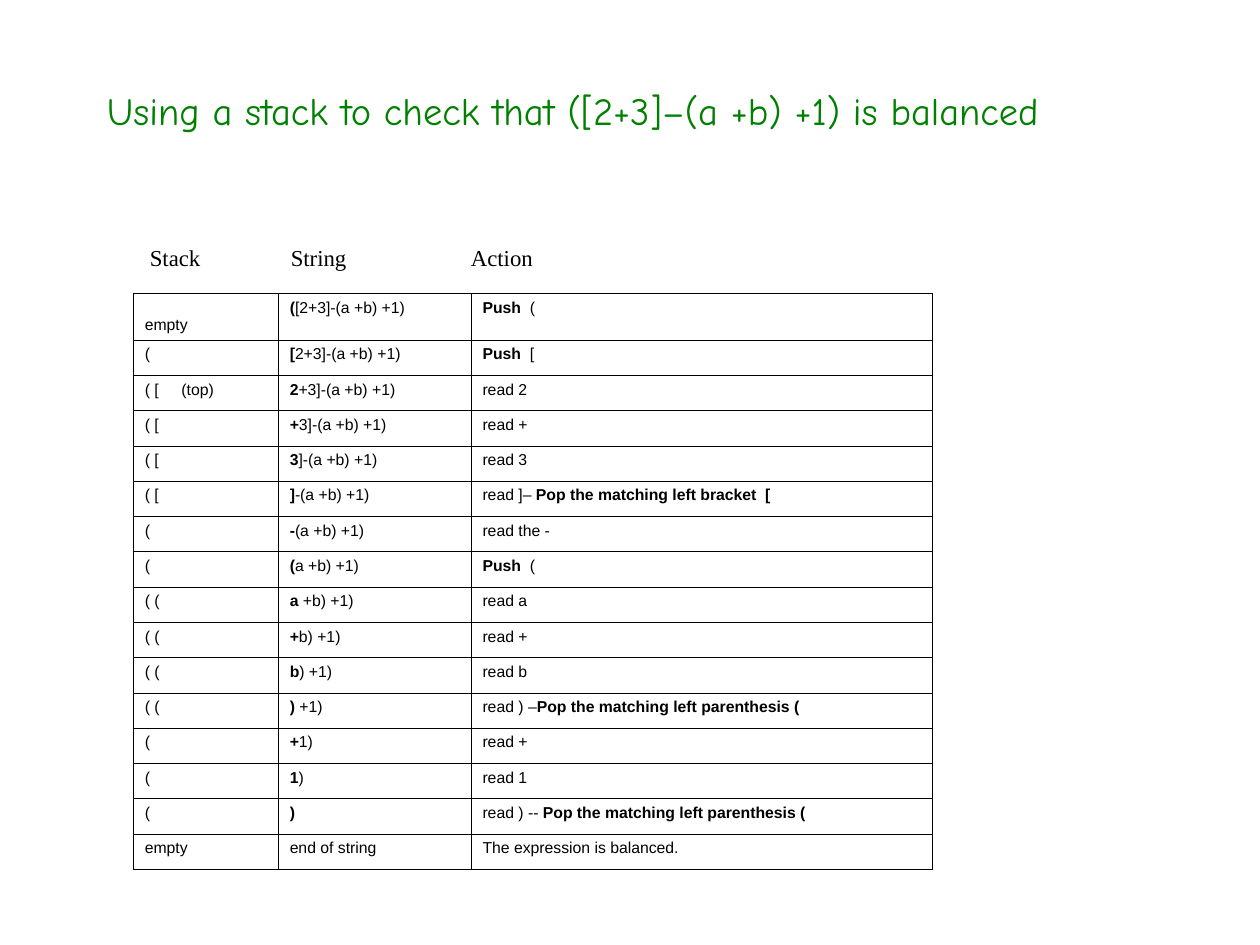
from lxml import etree
from pptx import Presentation
from pptx.dml.color import RGBColor
from pptx.enum import text
from pptx.oxml import ns
from pptx.util import Inches, Pt

COLORS = {"title": "008000", "ink": "000000"}
COLUMN_WIDTHS = [1.15, 1.53, 3.66]
FIRST_ROW_HEIGHT = 0.37
ROW_HEIGHT = 0.28

STEPS = [
    ("empty", "**(**[2+3]-(a +b) +1)", "**Push**  ("),
    ("(", "**[**2+3]-(a +b) +1)", "**Push**  ["),
    ("( [\t(top)", "**2**+3]-(a +b) +1)", "read 2"),
    ("( [", "**+**3]-(a +b) +1)", "read +"),
    ("( [", "**3**]-(a +b) +1)", "read 3"),
    ("( [", "**]**-(a +b) +1)", "read ]– **Pop the matching left bracket  [**"),
    ("(", "**-**(a +b) +1)", "read the -"),
    ("(", "**(**a +b) +1)", "**Push**  ("),
    ("( (", "**a** +b) +1)", "read a"),
    ("( (", "**+**b) +1)", "read +"),
    ("( (", "**b**) +1)", "read b"),
    ("( (", "**)** +1)", "read ) –**Pop the matching left parenthesis (**"),
    ("(", "**+**1)", "read +"),
    ("(", "**1**)", "read 1"),
    ("(", "**)**", "read ) -- **Pop the matching left parenthesis (**"),
    ("empty", "end of string", "The expression is balanced."),
]


class SlideWriter:
    def __init__(self, page):
        self.page = page

    def add_span(self, para, wording, font, size, color="ink", bold=False):
        span = para.add_run()
        span.text = wording
        span.font.name = font
        span.font.size = Pt(size)
        span.font.bold = bold
        span.font.color.rgb = RGBColor.from_string(COLORS[color])

    def set_tabs(self, para, positions):
        tabs = etree.SubElement(para._p.get_or_add_pPr(), ns.qn("a:tabLst"))
        for position in positions:
            etree.SubElement(tabs, ns.qn("a:tab"), pos=str(Inches(position)), algn="l")

    def add_box(self, left, top, width, height, anchor=text.MSO_ANCHOR.TOP):
        box = self.page.shapes.add_textbox(
            Inches(left), Inches(top), Inches(width), Inches(height)
        )
        box.text_frame.word_wrap = True
        box.text_frame.vertical_anchor = anchor
        return box.text_frame.paragraphs[0]

    def add_title(self, wording):
        para = self.add_box(0.75, 0.5, 8.5, 0.75, text.MSO_ANCHOR.MIDDLE)
        self.add_span(para, wording, "Comic Neue", 22, "title")

    def add_headings(self, headings):
        para = self.add_box(0.98, 1.62, 8.54, 4.72)
        para.space_before = Pt(3.3)
        self.set_tabs(para, [1.23, 2.66])
        self.add_span(para, " ", "Times New Roman", 32)
        self.add_span(para, "\t".join(headings), "Times New Roman", 13)

    def add_borders(self, cell):
        properties = cell._tc.get_or_add_tcPr()
        for side in ("lnL", "lnR", "lnT", "lnB"):
            line = etree.SubElement(properties, ns.qn(f"a:{side}"), w=str(Pt(0.45)))
            fill = etree.SubElement(line, ns.qn("a:solidFill"))
            etree.SubElement(fill, ns.qn("a:srgbClr"), val=COLORS["ink"])

    def fill_cell(self, cell, marked_text):
        cell.margin_left = cell.margin_right = Inches(0.09)
        cell.margin_top = cell.margin_bottom = Inches(0.05)
        self.add_borders(cell)
        cell.fill.background()
        para = cell.text_frame.paragraphs[0]
        para.line_spacing = 0.95
        if "\t" in marked_text:
            self.set_tabs(para, [0.29])
        for index, wording in enumerate(marked_text.split("**")):
            if wording:
                self.add_span(para, wording, "Arial", 9, bold=index % 2 == 1)

    def add_steps(self, steps):
        heights = [FIRST_ROW_HEIGHT] + [ROW_HEIGHT] * (len(steps) - 1)
        table = self.page.shapes.add_table(
            len(steps), len(COLUMN_WIDTHS), Inches(1.06), Inches(2.33),
            Inches(sum(COLUMN_WIDTHS)), Inches(sum(heights)),
        ).table
        table.first_row = table.horz_banding = False
        for column, width in zip(table.columns, COLUMN_WIDTHS):
            column.width = Inches(width)
        for row, height, step in zip(table.rows, heights, steps):
            row.height = Inches(height)
            for cell, marked_text in zip(row.cells, step):
                self.fill_cell(cell, marked_text)
        table.cell(0, 0).vertical_anchor = text.MSO_ANCHOR.BOTTOM


def main():
    deck = Presentation()
    deck.slide_width, deck.slide_height = Inches(10), Inches(7.5)
    writer = SlideWriter(deck.slides.add_slide(deck.slide_layouts[6]))
    writer.add_title("Using a stack to check that ([2+3]–(a +b) +1) is balanced")
    writer.add_headings(["Stack", "String", "Action"])
    writer.add_steps(STEPS)
    deck.save("out.pptx")


if __name__ == "__main__":
    main()
